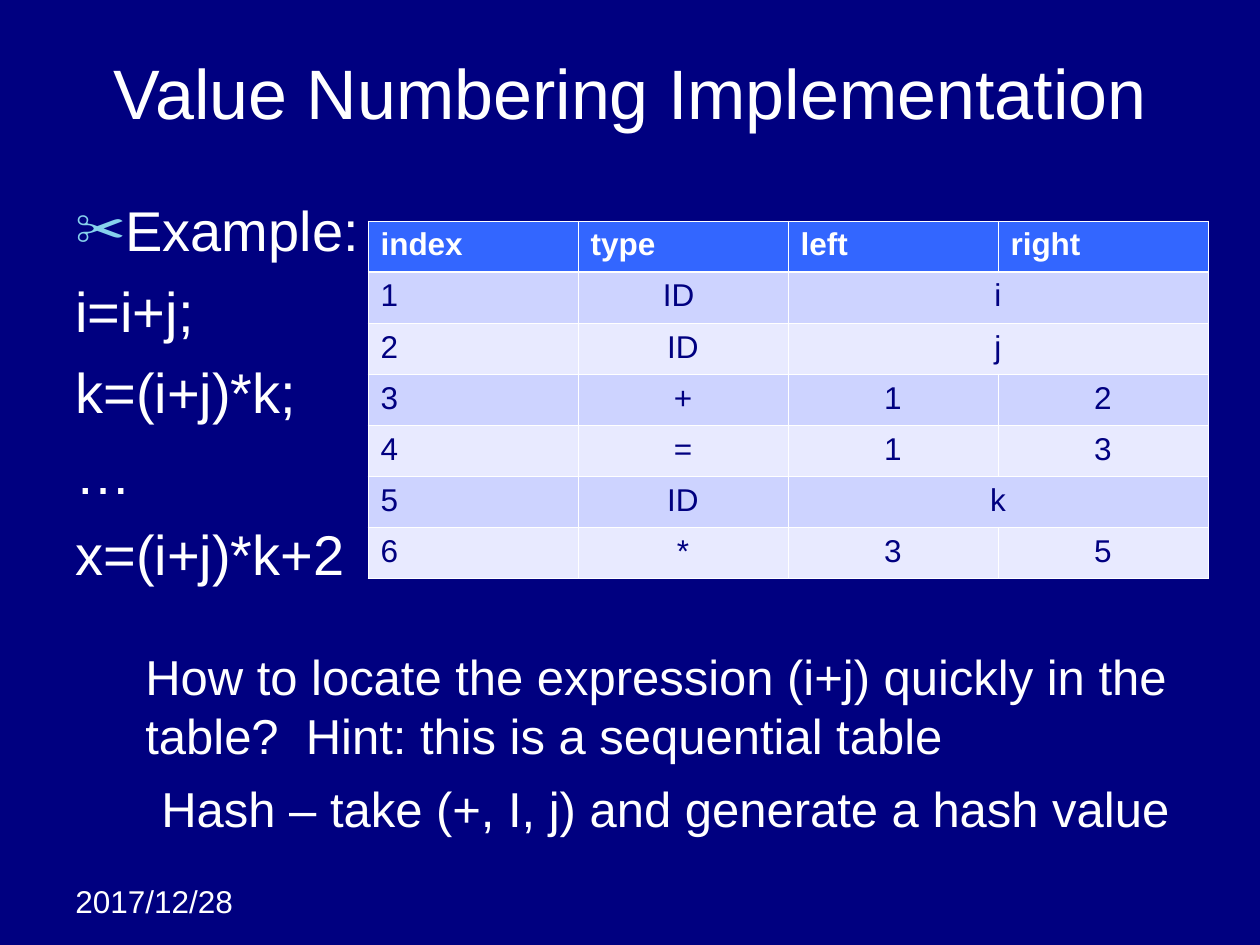
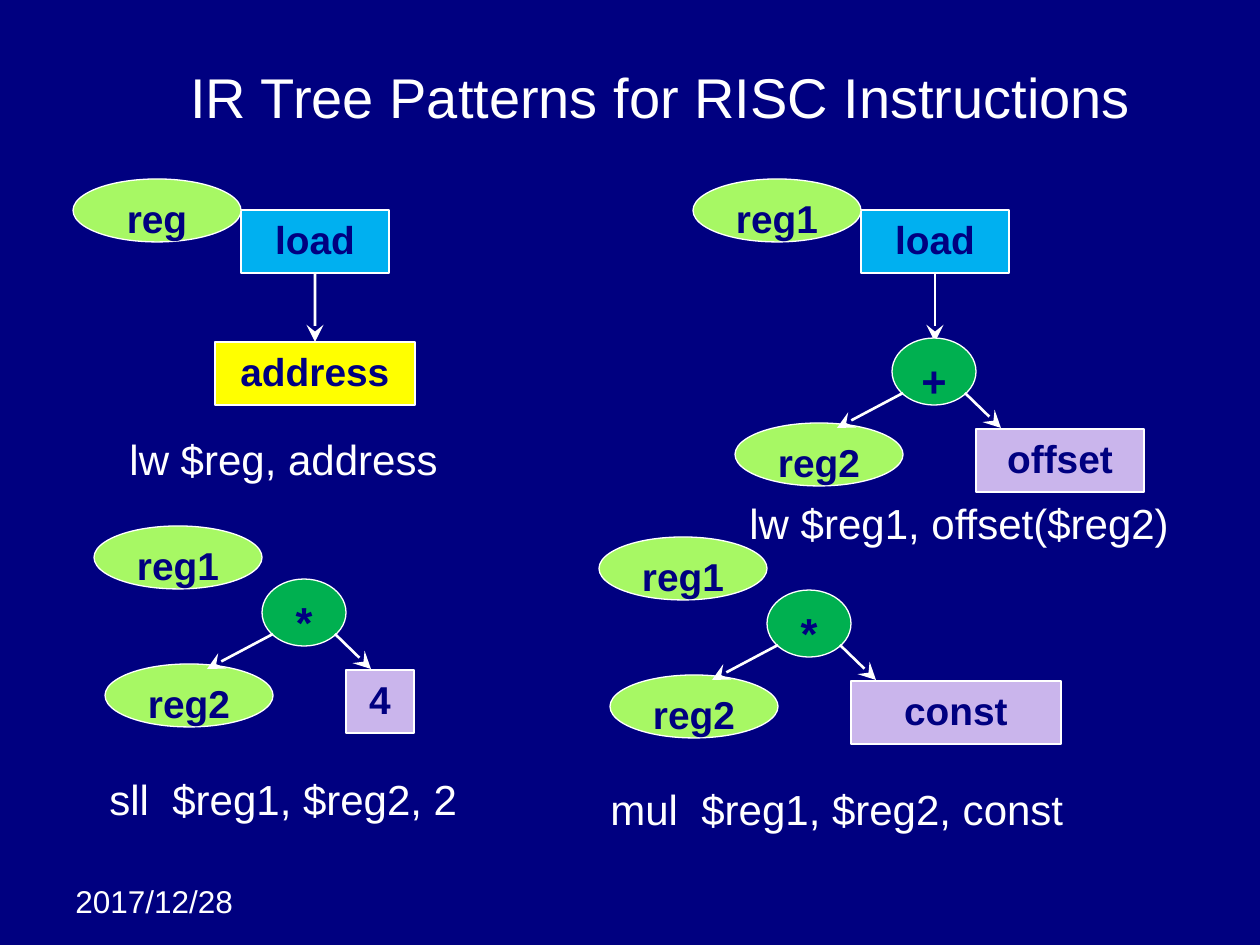
from dataclasses import dataclass

from lxml.etree import SubElement
from pptx import Presentation
from pptx.dml.color import RGBColor
from pptx.enum.shapes import MSO_CONNECTOR, MSO_SHAPE
from pptx.enum.text import MSO_ANCHOR, PP_ALIGN
from pptx.oxml.ns import qn
from pptx.util import Emu, Pt

SCALE = 914400 / 126


@dataclass(frozen=True)
class Theme:
    font: str = "Arial"
    navy: str = "000080"
    white: str = "FFFFFF"
    bullet: str = "86D1EC"
    header: str = "3366FF"
    odd_row: str = "CDD3FF"
    even_row: str = "E8EAFF"
    load: str = "00B0F0"
    address: str = "FFFF00"
    register: str = "A7F864"
    operator: str = "00B050"
    constant: str = "CAB5EC"
    title_size: float = 40
    body_size: float = 32
    note_size: float = 28
    code_size: float = 24
    node_size: float = 22.2
    operator_size: float = 24.8
    small_size: float = 18


THEME = Theme()


def px(*lengths):
    return [Emu(round(length * SCALE)) for length in lengths]


def rgb(color):
    return RGBColor.from_string(color)


def write(frame, *lines, size, color=THEME.white, bold=False, align=PP_ALIGN.LEFT,
          before=None):
    for number, line in enumerate(lines):
        paragraph = frame.add_paragraph() if number else frame.paragraphs[0]
        paragraph.alignment = align
        if before is not None:
            paragraph.space_before = Pt(before)
        run = paragraph.add_run()
        run.text = line
        run.font.name = THEME.font
        run.font.size = Pt(size)
        run.font.bold = bold
        run.font.color.rgb = rgb(color)


def add_text(slide, box, *lines, wrap=False, anchor=MSO_ANCHOR.TOP, **style):
    frame = slide.shapes.add_textbox(*px(*box)).text_frame
    frame.word_wrap = wrap
    frame.vertical_anchor = anchor
    write(frame, *lines, **style)
    return frame


def add_slide(deck, title, title_at, title_size):
    slide = deck.slides.add_slide(deck.slide_layouts[6])
    slide.background.fill.solid()
    slide.background.fill.fore_color.rgb = rgb(THEME.navy)
    add_text(slide, (63, 876, 199, 50), "2017/12/28", size=THEME.small_size)
    add_text(slide, (*title_at, 1134, 108), title, wrap=True, anchor=MSO_ANCHOR.MIDDLE,
             size=title_size, align=PP_ALIGN.CENTER)
    return slide


def add_example(slide, box, *lines):
    frame = add_text(slide, box, *lines, wrap=True, size=THEME.body_size, before=8)
    hang = px(48)[0]
    for number, paragraph in enumerate(frame.paragraphs):
        properties = paragraph._p.get_or_add_pPr()
        properties.set("marL", str(hang))
        properties.set("indent", str(-hang))
        if number == 0:
            tint = SubElement(properties, qn("a:buClr"))
            SubElement(tint, qn("a:srgbClr"), val=THEME.bullet)
            SubElement(properties, qn("a:buSzPct"), val="90000")
            SubElement(properties, qn("a:buFont"), typeface=THEME.font)
            SubElement(properties, qn("a:buChar"), char="✂")
        else:
            SubElement(properties, qn("a:buNone"))


def set_borders(cell, **widths):
    properties = cell._tc.get_or_add_tcPr()
    for position, side in enumerate(("L", "R", "T", "B")):
        width = Pt(widths.get(side, 0.45))
        edge = properties.makeelement(qn(f"a:ln{side}"), {"w": str(width)})
        paint = SubElement(edge, qn("a:solidFill"))
        SubElement(paint, qn("a:srgbClr"), val=THEME.white)
        properties.insert(position, edge)


def add_value_table(slide, box, rows):
    columns = len(rows[0])
    table = slide.shapes.add_table(len(rows), columns, *px(*box)).table
    table.horz_banding = False
    for row in table.rows:
        row.height = px(box[3] / len(rows))[0]
    for r, entries in enumerate(rows):
        header = r == 0
        fill = THEME.header if header else (THEME.even_row, THEME.odd_row)[r % 2]
        for c in range(columns):
            cell = table.cell(r, c)
            cell.fill.solid()
            cell.fill.fore_color.rgb = rgb(fill)
            set_borders(cell, **({"B": 1.47} if header else {"T": 1.47} if r == 1 else {}))
            if c < len(entries):
                write(cell.text_frame, entries[c], size=THEME.small_size, bold=header,
                      color=THEME.white if header else THEME.navy,
                      align=PP_ALIGN.LEFT if header or c == 0 else PP_ALIGN.CENTER)
        if len(entries) < columns:
            table.cell(r, len(entries) - 1).merge(table.cell(r, columns - 1))


def add_node(slide, kind, box, label, fill, size=THEME.node_size):
    node = slide.shapes.add_shape(kind, *px(*box))
    node.shadow.inherit = False
    node.fill.solid()
    node.fill.fore_color.rgb = rgb(fill)
    node.line.color.rgb = rgb(THEME.white)
    node.line.width = Pt(0.75)
    node.text_frame.vertical_anchor = MSO_ANCHOR.TOP
    write(node.text_frame, label, size=size, color=THEME.navy, bold=True,
          align=PP_ALIGN.CENTER)
    return node


def add_register(slide, x, y, label):
    add_node(slide, MSO_SHAPE.OVAL, (x, y, 168, 63), label, THEME.register)


def add_arrow(slide, start, end):
    arrow = slide.shapes.add_connector(MSO_CONNECTOR.STRAIGHT, *px(*start, *end))
    arrow.line.color.rgb = rgb(THEME.white)
    arrow.line.width = Pt(1.5)
    properties = arrow._element.spPr
    SubElement(properties.find(qn("a:ln")), qn("a:tailEnd"), type="stealth",
               w="lg", len="lg")
    SubElement(properties, qn("a:effectLst"))
    return arrow


def add_load(slide, x, y, register):
    load = add_node(slide, MSO_SHAPE.RECTANGLE, (x, y, 148, 63), "load", THEME.load)
    add_register(slide, x - 168, y - 31, register)
    arrow = add_arrow(slide, (x + 74, y + 63), (x + 74, y + 132))
    arrow.begin_connect(load, 2)
    return arrow


def add_operation(slide, x, y, operator, constant, constant_width):
    add_node(slide, MSO_SHAPE.OVAL, (x, y, 84, 67), operator, THEME.operator,
             THEME.operator_size)
    add_register(slide, x - 157, y + 85, "reg2")
    add_arrow(slide, (x + 11, y + 55), (x - 55, y + 90))
    add_node(slide, MSO_SHAPE.RECTANGLE, (x + 84, y + 91, constant_width, 63), constant,
             THEME.constant)
    add_arrow(slide, (x + 73, y + 55), (x + 109, y + 90))


def add_product(slide, x, y, constant, constant_width):
    add_register(slide, x - 168, y - 53, "reg1")
    add_operation(slide, x, y, "*", constant, constant_width)


def build_value_numbering(deck):
    slide = add_slide(deck, "Value Numbering Implementation", (63, 38), THEME.title_size)
    add_example(slide, (63, 189, 336, 655),
                "Example:", "i=i+j;", "k=(i+j)*k;", "…", "x=(i+j)*k+2")
    add_value_table(slide, (368, 221, 840, 358), [
        ("index", "type", "left", "right"),
        ("1", "ID ", "i"),
        ("2", "ID", "j"),
        ("3", "+", "1", "2"),
        ("4", "=", "1", "3"),
        ("5", "ID", "k"),
        ("6", "*", "3", "5"),
    ])
    add_text(slide, (133, 640, 1046, 131),
             "How to locate the expression (i+j) quickly in the",
             "table?  Hint: this is a sequential table", size=THEME.note_size)
    add_text(slide, (149, 772, 1046, 72),
             "Hash – take (+, I, j) and generate a hash value", size=THEME.note_size)


def build_tree_patterns(deck):
    slide = add_slide(deck, "IR Tree Patterns for RISC Instructions", (94, 42),
                      THEME.body_size)
    address_arrow = add_load(slide, 241, 210, "reg")
    address = add_node(slide, MSO_SHAPE.RECTANGLE, (215, 342, 200, 63), "address",
                       THEME.address)
    address_arrow.end_connect(address, 0)
    add_load(slide, 861, 210, "reg1")
    add_operation(slide, 892, 338, "+", "offset", 168)
    add_product(slide, 262, 579, "4", 68)
    add_product(slide, 767, 590, "const", 210)
    for x, y, width, instruction in (
        (117, 427, 333, "lw $reg, address"),
        (737, 491, 445, "lw $reg1, offset($reg2)"),
        (97, 767, 373, "sll  $reg1, $reg2, 2"),
        (598, 777, 478, "mul  $reg1, $reg2, const"),
    ):
        add_text(slide, (x, y, width, 63), instruction, size=THEME.code_size)


def main():
    deck = Presentation()
    deck.slide_width, deck.slide_height = px(1260, 945)
    build_value_numbering(deck)
    build_tree_patterns(deck)
    deck.save("out.pptx")


if __name__ == "__main__":
    main()
